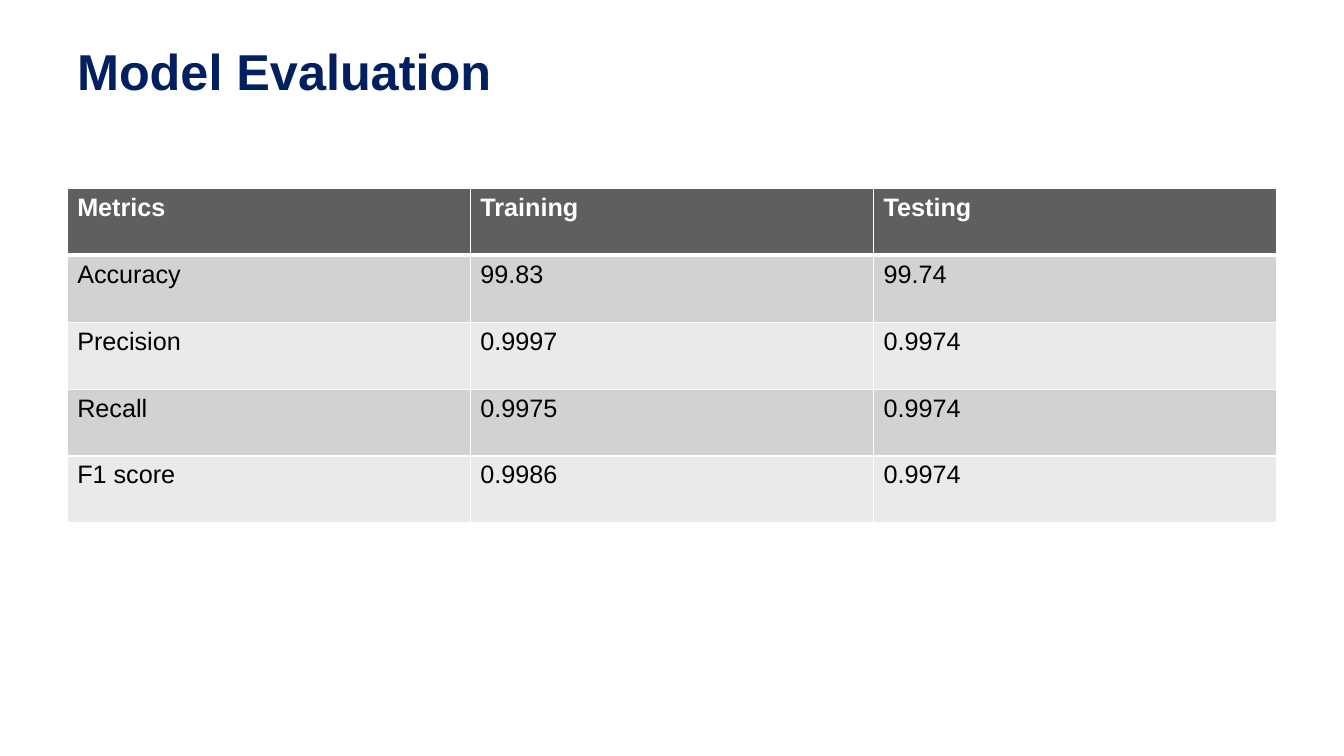
from dataclasses import dataclass

from lxml.etree import SubElement
from pptx import Presentation
from pptx.dml.color import RGBColor as RGB
from pptx.enum.text import MSO_ANCHOR as Anchor
from pptx.oxml.ns import qn
from pptx.util import Pt


@dataclass(frozen=True)
class Theme:
    font: str = "Arial"
    title_size: int = 36
    table_size: int = 18
    title: str = "002060"
    header_text: str = "FFFFFF"
    body_text: str = "000000"
    header_fill: str = "5F5F5F"
    bands: tuple = ("D2D2D2", "EAEAEA")
    rule: str = "FFFFFF"
    thin: int = 1
    thick: int = 3


class SlideBuilder:
    def __init__(self, slide, theme):
        self.slide = slide
        self.theme = theme

    def style(self, paragraph, size, color, bold):
        font = paragraph.font
        font.name, font.size, font.bold = self.theme.font, Pt(size), bold
        font.color.rgb = RGB.from_string(color)

    def title(self, text, left, top, width, height):
        box = self.slide.shapes.add_textbox(Pt(left), Pt(top), Pt(width), Pt(height))
        frame = box.text_frame
        frame.word_wrap = True
        frame.vertical_anchor = Anchor.MIDDLE
        frame.text = text
        self.style(frame.paragraphs[0], self.theme.title_size, self.theme.title, True)

    def borders(self, cell, row):
        """Rule all sides, with a thick line between header and body."""
        thin, thick = self.theme.thin, self.theme.thick
        widths = {
            "a:lnL": thin,
            "a:lnR": thin,
            "a:lnT": thick if row == 1 else thin,
            "a:lnB": thick if row == 0 else thin,
        }
        properties = cell._tc.get_or_add_tcPr()
        for side, width in widths.items():
            line = SubElement(properties, qn(side), w=str(Pt(width)))
            fill = SubElement(line, qn("a:solidFill"))
            SubElement(fill, qn("a:srgbClr"), val=self.theme.rule)

    def table(self, records, left, top, width, row_height):
        """Draw records as a banded table; the first record is the header."""
        theme = self.theme
        rows, columns = len(records), len(records[0])
        table = self.slide.shapes.add_table(
            rows, columns, Pt(left), Pt(top), Pt(width), Pt(row_height * rows)
        ).table
        for row, record in enumerate(records):
            table.rows[row].height = Pt(row_height)
            header = row == 0
            background = theme.header_fill if header else theme.bands[(row - 1) % 2]
            color = theme.header_text if header else theme.body_text
            for column, text in enumerate(record):
                cell = table.cell(row, column)
                cell.text = text
                self.style(cell.text_frame.paragraphs[0], theme.table_size, color, header)
                self.borders(cell, row)
                cell.fill.solid()
                cell.fill.fore_color.rgb = RGB.from_string(background)


METRICS = [
    ("Metrics", "Training", "Testing"),
    ("Accuracy", "99.83", "99.74"),
    ("Precision", "0.9997", "0.9974"),
    ("Recall", "0.9975", "0.9974"),
    ("F1 score", "0.9986", "0.9974"),
]


def main():
    deck = Presentation()
    deck.slide_width, deck.slide_height = Pt(960), Pt(540)
    builder = SlideBuilder(deck.slides.add_slide(deck.slide_layouts[6]), Theme())
    margin, content_width = 48, 864
    builder.title("Model Evaluation", margin, 27, content_width, 46)
    builder.table(METRICS, margin, 134.6, content_width, 47.8)
    deck.save("out.pptx")


if __name__ == "__main__":
    main()
